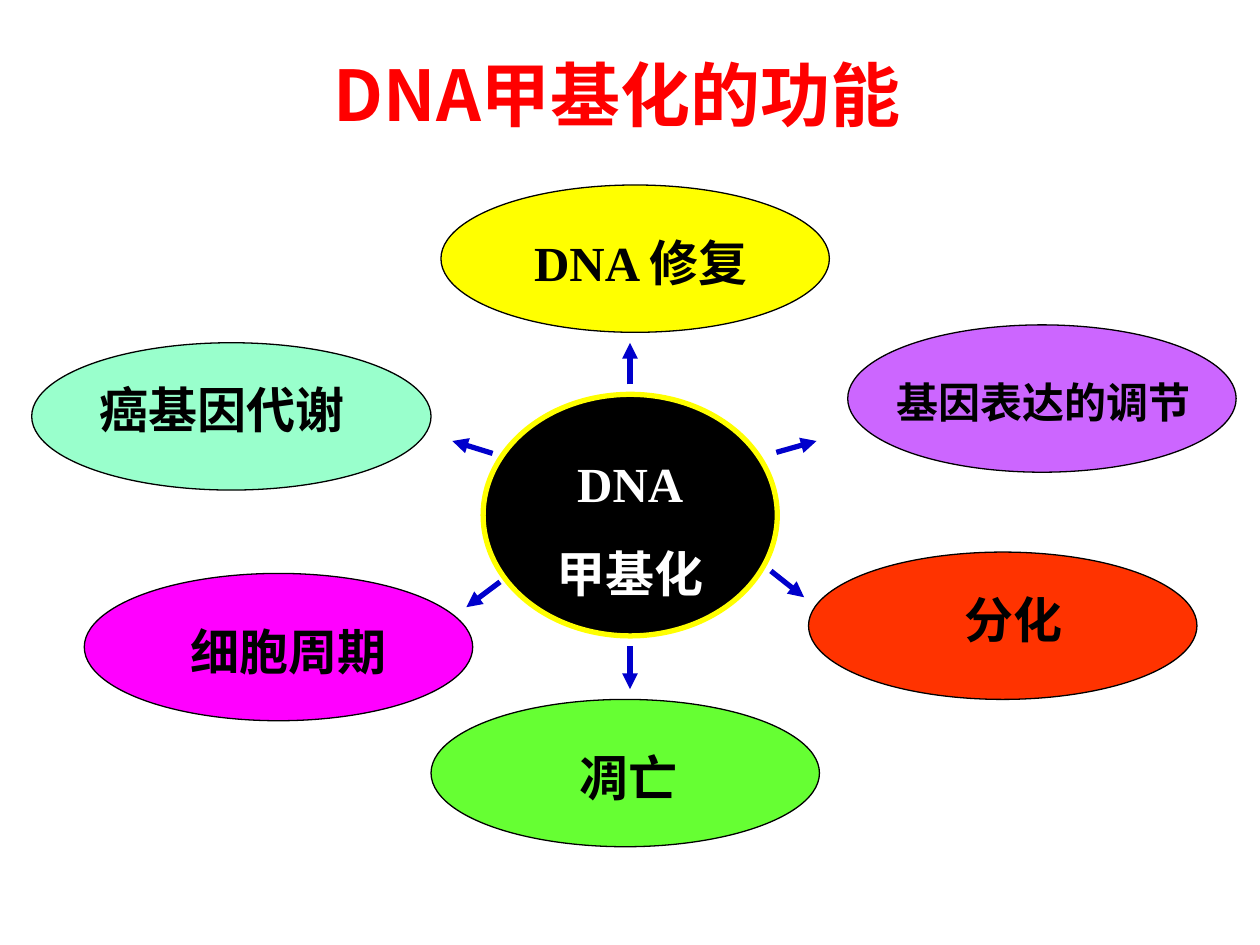
import pptx
import pptx.dml.color
import pptx.enum.shapes
import pptx.enum.text
import pptx.oxml
import pptx.oxml.ns
import pptx.util
from pptx.util import Cm

SHAPES = pptx.enum.shapes
TEXT = pptx.enum.text


def color(hex_string):
    return pptx.dml.color.RGBColor.from_string(hex_string)


def add_text(place, lines, **changes):
    """Add bold lines at place (left, top, width, height in cm)."""
    look = {"size": 28, "name": "Times New Roman", "color": "000000",
            "align": TEXT.PP_ALIGN.CENTER, "wrap": True, **changes}
    box = slide.shapes.add_textbox(*map(Cm, place))
    box.text_frame.word_wrap = look["wrap"]
    box.text_frame.auto_size = TEXT.MSO_AUTO_SIZE.SHAPE_TO_FIT_TEXT
    box.text_frame.text = "\n".join(lines)
    for para in box.text_frame.paragraphs:
        para.alignment = look["align"]
        para.space_before = pptx.util.Pt(look.get("before", 17.5))
        span = para.runs[0]
        font_values = {"size": pptx.util.Pt(look["size"]), "name": look["name"], "bold": True}
        for name, value in font_values.items():
            setattr(span.font, name, value)
        span.font.color.rgb = color(look["color"])
        east_asian = pptx.oxml.parse_xml(
            f'<a:ea {pptx.oxml.ns.nsdecls("a")} typeface="Noto Sans CJK SC"/>')
        span.font._element.find(pptx.oxml.ns.qn("a:latin")).addnext(east_asian)


deck = pptx.Presentation()
deck.slide_width, deck.slide_height = Cm(25.4), Cm(19.05)
slide = deck.slides.add_slide(deck.slide_layouts[6])

# left, top, width, height, fill, line, line width
ellipses = [
    (9.74, 7.95, 5.93, 4.87, "000000", "FFFF00", 3),
    (8.69, 14.1, 7.83, 2.97, "66FF33", "000000", 0.75),
    (0.64, 6.91, 8.05, 2.97, "99FFCC", "000000", 0.75),
    (17.09, 6.55, 7.83, 2.97, "CC66FF", "000000", 0.75),
    (8.89, 3.73, 7.83, 2.97, "FFFF00", "000000", 0.75),
    (1.7, 11.56, 7.83, 2.97, "FF00FF", "000000", 0.75),
    (16.3, 11.13, 7.83, 2.97, "FF3300", "000000", 0.75),
]
for *place, fill, line, width in ellipses:
    ellipse = slide.shapes.add_shape(SHAPES.MSO_SHAPE.OVAL, *map(Cm, place))
    ellipse.shadow.inherit = False
    ellipse.fill.solid()
    ellipse.fill.fore_color.rgb = color(fill)
    ellipse.line.color.rgb = color(line)
    ellipse.line.width = pptx.util.Pt(width)

# start x, start y, end x, end y
arrows = [
    (9.93, 9.14, 9.12, 8.89),
    (15.65, 9.12, 16.46, 8.89),
    (12.7, 7.75, 12.7, 6.91),
    (10.08, 11.73, 9.4, 12.24),
    (15.54, 11.51, 16.21, 12.04),
    (12.7, 13.03, 12.7, 13.89),
]
for ends in arrows:
    arrow = slide.shapes.add_connector(SHAPES.MSO_CONNECTOR.STRAIGHT, *map(Cm, ends))
    arrow.line.color.rgb = color("0000CC")
    arrow.line.width = pptx.util.Pt(3)
    for parent, tag in ((arrow.line._get_or_add_ln(), 'tailEnd type="triangle"'),
                        (arrow._element.spPr, "effectLst")):
        parent.append(pptx.oxml.parse_xml(f'<a:{tag} {pptx.oxml.ns.nsdecls("a")}/>'))

add_text((9.96, 4.57, 5.92, 1.45), ["DNA 修复"])
add_text((17.58, 7.47, 6.93, 1.27), ["基因表达的调节"], size=24, before=15)
add_text((1.7, 7.52, 5.56, 1.45), ["癌基因代谢"], before=0)
add_text((10.11, 14.94, 4.88, 1.45), [" 凋亡"])
add_text((17.35, 11.76, 6.15, 1.45), ["分化"])
add_text((3.18, 12.4, 5.28, 1.45), ["细胞周期"])
add_text((9.53, 9.02, 6.35, 3.25), ["DNA", "甲基化"], color="FFFFFF")
add_text((6.48, 0.91, 12.47, 1.96), ["DNA甲基化的功能"], size=40, before=0, color="FF0000",
         name="Noto Sans CJK SC", align=TEXT.PP_ALIGN.LEFT, wrap=False)

deck.save("out.pptx")
